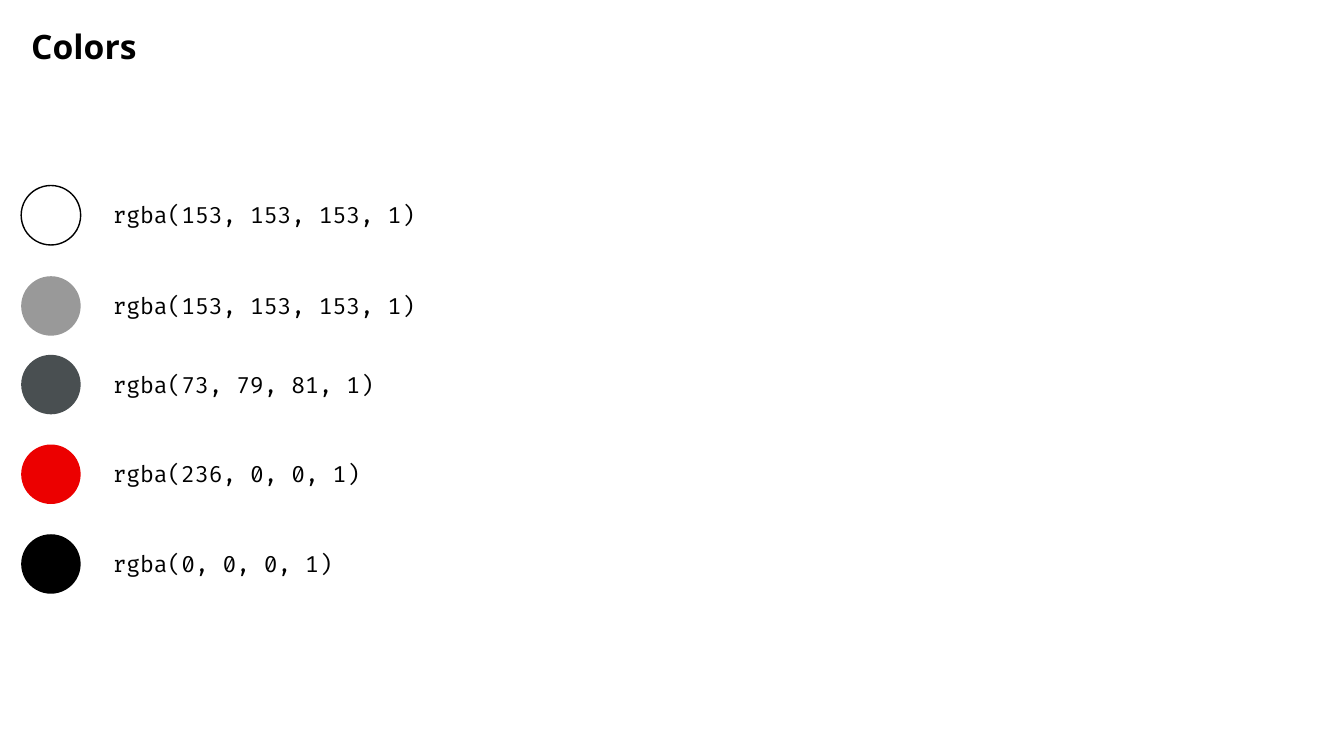
from dataclasses import dataclass

from pptx import Presentation
from pptx.dml.color import RGBColor
from pptx.enum.shapes import MSO_SHAPE
from pptx.enum.text import MSO_ANCHOR, MSO_AUTO_SIZE, PP_ALIGN
from pptx.slide import Slide
from pptx.text.text import TextFrame
from pptx.util import Inches, Pt


@dataclass(frozen=True)
class Theme:
    ink: RGBColor = RGBColor(0, 0, 0)
    white: RGBColor = RGBColor(255, 255, 255)
    gray: RGBColor = RGBColor(153, 153, 153)
    slate: RGBColor = RGBColor(73, 79, 81)
    red: RGBColor = RGBColor(236, 0, 0)
    title_font: str = "Open Sans"
    code_font: str = "Fira Code"
    title_size: Pt = Pt(24)
    code_size: Pt = Pt(16)
    outline: Pt = Pt(1)


@dataclass(frozen=True)
class Swatch:
    top: float
    color: RGBColor
    label: str
    outlined: bool = False


THEME = Theme()
LEFT = 0.21
DIAMETER = 0.59
LABEL_LEFT = 1.02
LABEL_WIDTH = 3.57
LABEL_HEIGHT = 0.37

SWATCHES = [
    Swatch(1.84, THEME.white, "rgba(153, 153, 153, 1)", outlined=True),
    Swatch(2.74, THEME.gray, "rgba(153, 153, 153, 1)"),
    Swatch(3.52, THEME.slate, "rgba(73, 79, 81, 1)"),
    Swatch(4.41, THEME.red, "rgba(236, 0, 0, 1)"),
    Swatch(5.3, THEME.ink, "rgba(0, 0, 0, 1)"),
]


def write(tf: TextFrame, text: str, font: str, size: Pt, bold: bool = False) -> None:
    tf.word_wrap = True
    tf.auto_size = MSO_AUTO_SIZE.SHAPE_TO_FIT_TEXT
    tf.vertical_anchor = MSO_ANCHOR.TOP
    p = tf.paragraphs[0]
    p.text = text
    p.alignment = PP_ALIGN.LEFT
    p.font.name = font
    p.font.size = size
    p.font.bold = bold
    p.font.color.rgb = THEME.ink


def add_title(s: Slide, text: str) -> None:
    title = s.shapes.title
    title.left, title.top = Inches(LEFT), Inches(0.21)
    title.width, title.height = Inches(2.58), Inches(0.5)
    write(title.text_frame, text, THEME.title_font, THEME.title_size, bold=True)


def add_swatch(s: Slide, swatch: Swatch) -> None:
    """Draw a colour disc with its code centred beside it."""
    disc = s.shapes.add_shape(
        MSO_SHAPE.OVAL, Inches(LEFT), Inches(swatch.top),
        Inches(DIAMETER), Inches(DIAMETER))
    disc.shadow.inherit = False
    disc.fill.solid()
    disc.fill.fore_color.rgb = swatch.color
    if swatch.outlined:
        disc.line.color.rgb = THEME.ink
        disc.line.width = THEME.outline
    else:
        disc.line.fill.background()

    label_top = swatch.top + (DIAMETER - LABEL_HEIGHT) / 2
    label = s.shapes.add_textbox(
        Inches(LABEL_LEFT), Inches(label_top),
        Inches(LABEL_WIDTH), Inches(LABEL_HEIGHT))
    write(label.text_frame, swatch.label, THEME.code_font, THEME.code_size)


def main() -> None:
    prs = Presentation()
    prs.slide_width, prs.slide_height = Inches(13.33), Inches(7.5)
    s = prs.slides.add_slide(prs.slide_layouts.get_by_name("Title Only"))
    add_title(s, "Colors")
    for swatch in SWATCHES:
        add_swatch(s, swatch)
    prs.save("out.pptx")


if __name__ == "__main__":
    main()
